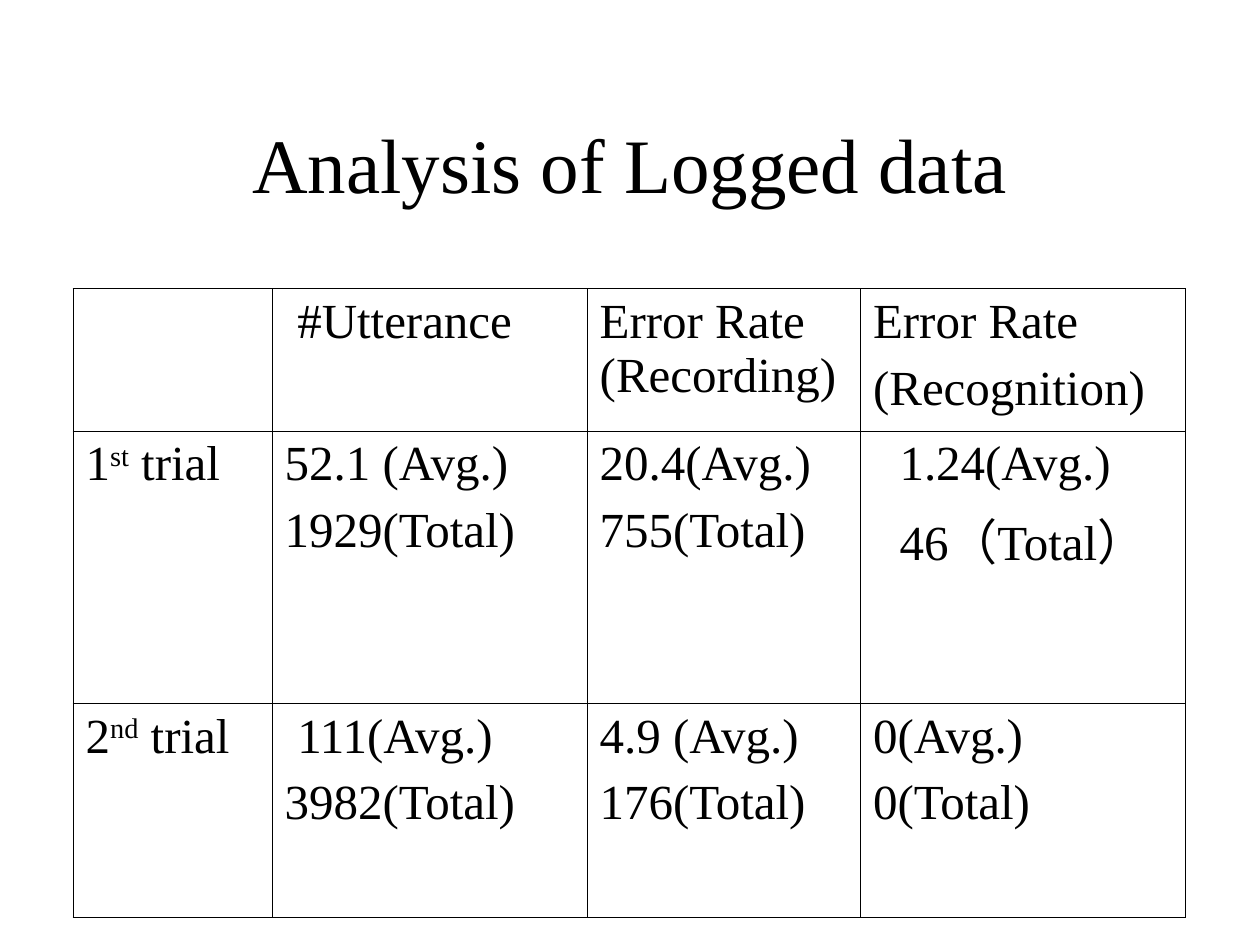
import lxml.etree
import pptx
import pptx.dml.color
import pptx.enum.text
import pptx.oxml.ns
import pptx.util

Inches = pptx.util.Inches
FONT = "Times New Roman"
BLACK = "000000"
COLUMN_WIDTHS = [1.58, 2.5, 2.17, 2.58]
ROW_HEIGHTS = [1.13, 2.16, 1.7]
ROWS = [
    [[], ["#Utterance"], ["Error Rate (Recording)"], ["Error Rate", "(Recognition)"]],
    [["1^st^ trial"], ["52.1 (Avg.)", "1929(Total)"], ["20.4(Avg.)", "755(Total)"],
     ["1.24(Avg.)", "46（Total）"]],
    [["2^nd^ trial"], ["111(Avg.)", "3982(Total)"], ["4.9 (Avg.)", "176(Total)"],
     ["0(Avg.)", "0(Total)"]],
]
INDENTS = {
    "#Utterance": 0.1,
    "111(Avg.)": 0.1,
    "1.24(Avg.)": 0.21,
    "46（Total）": 0.21,
}


def color(value):
    return pptx.dml.color.RGBColor.from_string(value)


def format_font(font, size):
    font.name = FONT
    font.size = pptx.util.Pt(size)
    font.bold = False
    font.color.rgb = color(BLACK)


def add_title(slide, text):
    title = slide.shapes.title
    title.left, title.top = Inches(0.75), Inches(0.67)
    title.width, title.height = Inches(8.5), Inches(1.25)
    title.text_frame.text = text
    title.text_frame.vertical_anchor = pptx.enum.text.MSO_ANCHOR.MIDDLE
    paragraph = title.text_frame.paragraphs[0]
    paragraph.alignment = pptx.enum.text.PP_ALIGN.CENTER
    format_font(paragraph.runs[0].font, 44)


def add_cell_borders(cell):
    properties = cell._tc.get_or_add_tcPr()
    for side in ("lnL", "lnR", "lnT", "lnB"):
        line = lxml.etree.SubElement(properties, pptx.oxml.ns.qn(f"a:{side}"))
        line.set("w", str(pptx.util.Pt(0.45)))
        fill = lxml.etree.SubElement(line, pptx.oxml.ns.qn("a:solidFill"))
        lxml.etree.SubElement(fill, pptx.oxml.ns.qn("a:srgbClr")).set("val", BLACK)


def fill_paragraph(paragraph, text):
    if text in INDENTS:
        properties = paragraph._p.get_or_add_pPr()
        properties.set("marL", str(Inches(INDENTS[text])))
        properties.set("indent", "0")
    for index, part in enumerate(text.split("^")):
        run = paragraph.add_run()
        run.text = part
        format_font(run.font, 28)
        if index == 1:
            run._r.get_or_add_rPr().set("baseline", "30000")


def fill_cell(cell, lines):
    cell.margin_left = cell.margin_right = Inches(0.1)
    cell.margin_top = cell.margin_bottom = Inches(0.05)
    add_cell_borders(cell)
    cell.fill.background()
    for index, text in enumerate(lines):
        if index == 0:
            paragraph = cell.text_frame.paragraphs[0]
        else:
            paragraph = cell.text_frame.add_paragraph()
            paragraph.space_before = pptx.util.Pt(7)
        fill_paragraph(paragraph, text)


def add_results_table(slide):
    table = slide.shapes.add_table(
        len(ROWS), len(COLUMN_WIDTHS), Inches(0.58), Inches(2.29),
        Inches(sum(COLUMN_WIDTHS)), Inches(sum(ROW_HEIGHTS))).table
    table.first_row = False
    table.horz_banding = False
    for column, width in zip(table.columns, COLUMN_WIDTHS):
        column.width = Inches(width)
    for row, height, contents in zip(table.rows, ROW_HEIGHTS, ROWS):
        row.height = Inches(height)
        for cell, lines in zip(row.cells, contents):
            fill_cell(cell, lines)


def main():
    presentation = pptx.Presentation()
    presentation.slide_width = Inches(10)
    presentation.slide_height = Inches(7.5)
    slide = presentation.slides.add_slide(presentation.slide_layouts[5])
    add_title(slide, "Analysis of Logged data")
    add_results_table(slide)
    presentation.save("out.pptx")


if __name__ == "__main__":
    main()
